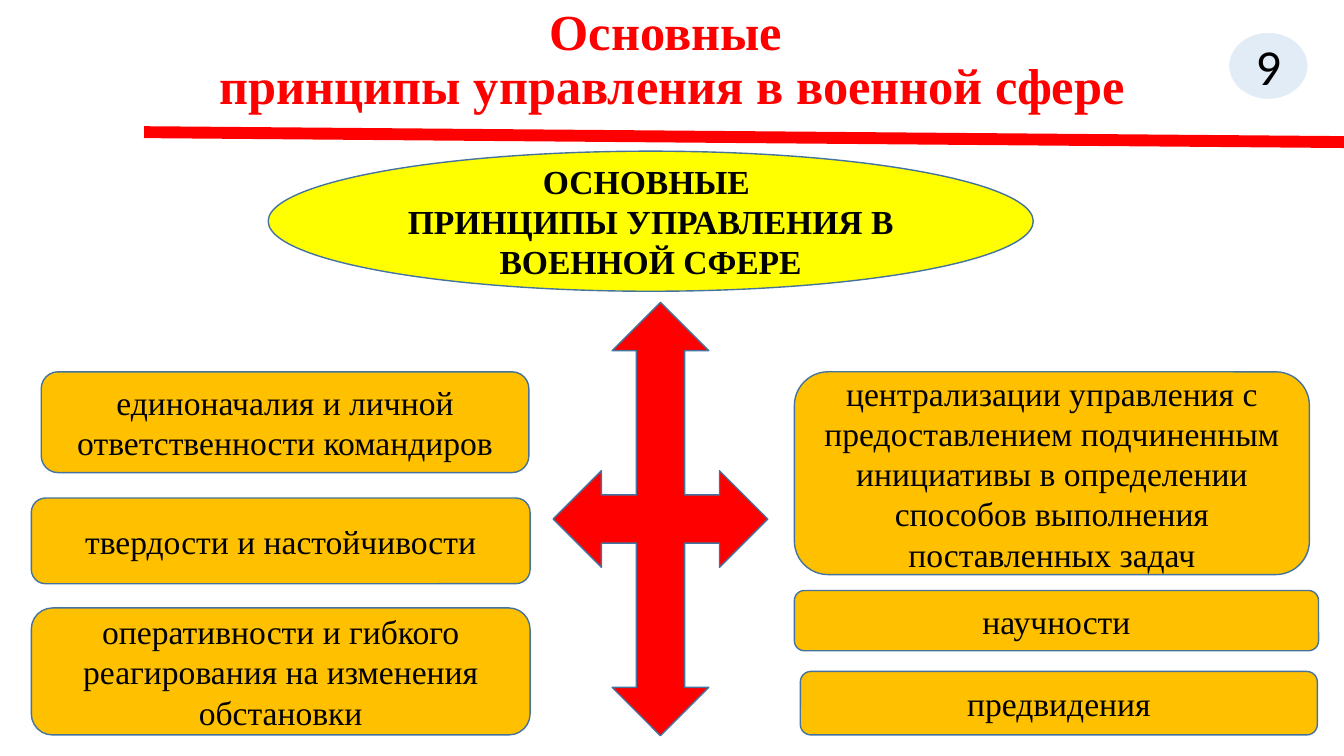
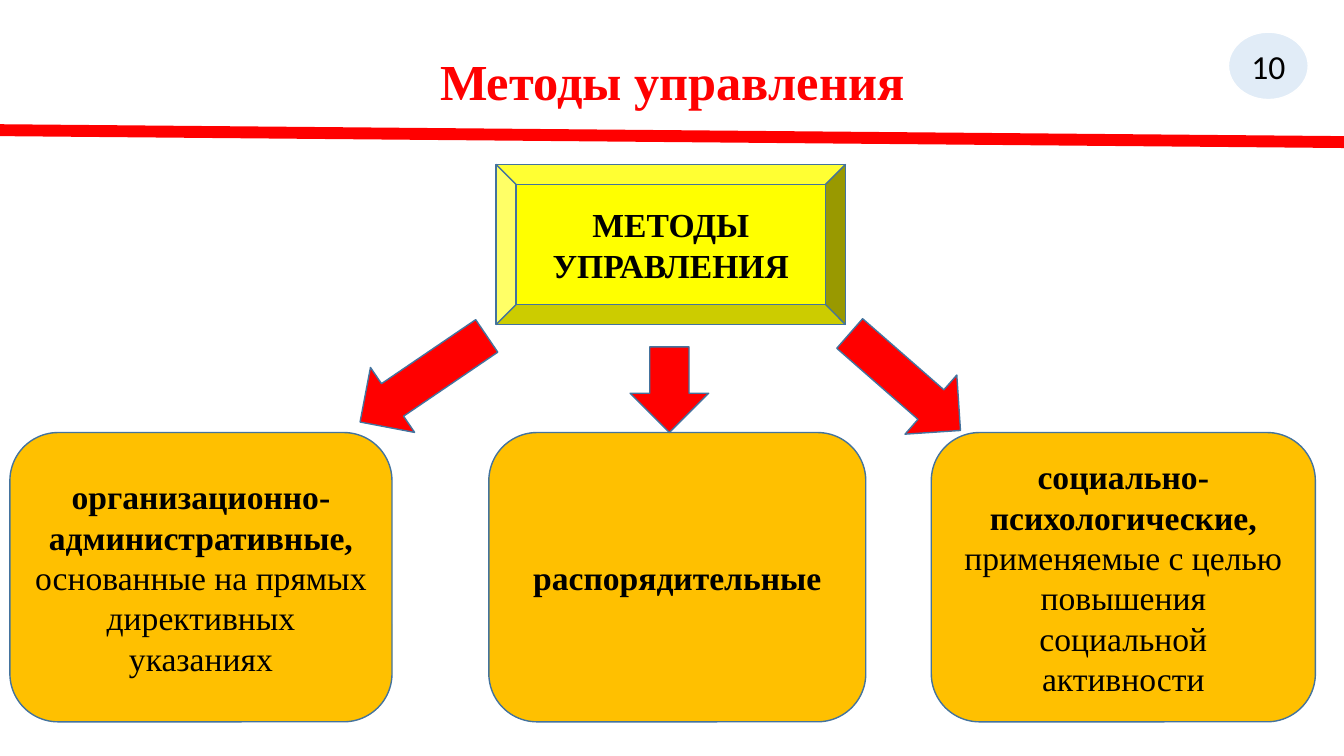
from dataclasses import dataclass

from lxml.etree import SubElement
from pptx import Presentation
from pptx.dml.color import RGBColor
from pptx.enum.shapes import MSO_CONNECTOR, MSO_SHAPE
from pptx.enum.text import MSO_ANCHOR, MSO_AUTO_SIZE, PP_ALIGN
from pptx.oxml.ns import qn
from pptx.text.text import Font
from pptx.util import Cm, Pt

PRINCIPLES = {
    "title": "Основные \vпринципы управления в военной сфере",
    "title_box": (2.34, 0, 29.21, 3.07),
    "rule": (3.63, 3.33, 33.87, 3.58),
    "number": ("9", 36),
    "heading": "ОСНОВНЫЕ \nПРИНЦИПЫ УПРАВЛЕНИЯ В ВОЕННОЙ СФЕРЕ",
    "heading_shape": MSO_SHAPE.OVAL,
    "heading_box": (6.76, 3.81, 19.28, 3.53),
    "cards": [
        ((1.04, 9.37, 12.29, 2.54), "", "единоначалия и личной ответственности командиров"),
        ((0.79, 12.55, 12.57, 2.16), "", "твердости и настойчивости"),
        ((0.79, 15.32, 12.57, 3.2), "", "оперативности и гибкого реагирования на изменения обстановки"),
        ((20.02, 9.37, 12.98, 5.11), "",
         "централизации управления с предоставлением подчиненным инициативы "
         "в определении способов выполнения поставленных задач"),
        ((20.02, 14.88, 13.21, 1.52), "", "научности"),
        ((20.17, 16.92, 13.03, 1.6), "", "предвидения"),
    ],
    "arrows": [(MSO_SHAPE.QUAD_ARROW, (13.94, 7.62, 5.41, 10.92), 0)],
}

METHODS = {
    "title": "Методы управления",
    "title_box": (2.34, 1.02, 29.21, 2.18),
    "rule": (0, 3.28, 33.87, 3.58),
    "number": ("10", 24),
    "heading": "МЕТОДЫ УПРАВЛЕНИЯ",
    "heading_shape": MSO_SHAPE.BEVEL,
    "heading_box": (12.5, 4.14, 8.81, 4.04),
    "cards": [
        ((0.25, 10.9, 9.63, 7.29), "организационно-административные,",
         " основанные на прямых директивных указаниях"),
        ((12.32, 10.9, 9.5, 7.29), "распорядительные", ""),
        ((23.47, 10.9, 9.68, 7.29), "социально-психологические,",
         " применяемые с целью повышения социальной активности"),
    ],
    "arrows": [
        (MSO_SHAPE.DOWN_ARROW, (15.88, 8.74, 1.98, 2.16), 0),
        (MSO_SHAPE.DOWN_ARROW, (9.68, 7.62, 1.98, 3.86), 55.8),
        (MSO_SHAPE.DOWN_ARROW, (21.82, 7.77, 1.98, 3.71), 311.2),
    ],
}


@dataclass(frozen=True)
class Theme:
    red: str = "FF0000"
    yellow: str = "FFFF00"
    amber: str = "FFC000"
    outline: str = "43739E"
    badge: str = "5B9BD5"
    white: str = "FFFFFF"
    ink: str = "000000"
    serif: str = "Times New Roman"
    sans: str = "Calibri"
    title_size: int = 36
    body_size: int = 24
    rule_width: float = 8.5
    outline_width: float = 1
    badge_alpha: int = 18000
    badge_box: tuple = (30.96, 0.81, 2.01, 1.7)


THEME = Theme()


def lengths(values):
    return [Cm(value) for value in values]


def style_font(font, name, size, color, bold):
    font.name, font.size, font.bold = name, Pt(size), bold
    font.color.rgb = RGBColor.from_string(color)


def add_figure(slide, kind, box, fill, outline=THEME.outline):
    figure = slide.shapes.add_shape(kind, *lengths(box))
    figure.shadow.inherit = False
    figure.fill.solid()
    figure.fill.fore_color.rgb = RGBColor.from_string(fill)
    figure.line.color.rgb = RGBColor.from_string(outline)
    figure.line.width = Pt(THEME.outline_width)
    return figure


def style_text(figure, name=THEME.serif, size=THEME.body_size, bold=False):
    figure.text_frame.vertical_anchor = MSO_ANCHOR.MIDDLE
    for paragraph in figure.text_frame.paragraphs:
        paragraph.alignment = PP_ALIGN.CENTER
        for run in paragraph.runs:
            style_font(run.font, name, size, THEME.ink, bold)


def add_title(slide, text, box):
    title = slide.shapes.title
    title.left, title.top, title.width, title.height = lengths(box)
    frame = title.text_frame
    frame.text = text
    frame.auto_size = MSO_AUTO_SIZE.NONE
    frame.vertical_anchor = MSO_ANCHOR.MIDDLE
    frame.paragraphs[0].alignment = PP_ALIGN.CENTER
    frame.paragraphs[0].line_spacing = 0.9


def add_rule(slide, ends):
    rule = slide.shapes.add_connector(MSO_CONNECTOR.STRAIGHT, *lengths(ends))
    rule.line.color.rgb = RGBColor.from_string(THEME.red)
    rule.line.width = Pt(THEME.rule_width)
    SubElement(rule._element.spPr, qn("a:effectLst"))


def add_badge(slide, number, size):
    badge = add_figure(slide, MSO_SHAPE.OVAL, THEME.badge_box, THEME.badge, THEME.white)
    tint = badge._element.spPr.find(qn("a:solidFill")).find(qn("a:srgbClr"))
    SubElement(tint, qn("a:alpha")).set("val", str(THEME.badge_alpha))
    badge.text_frame.text = number
    style_text(badge, THEME.sans, size)


def add_card(slide, box, term, detail):
    card = add_figure(slide, MSO_SHAPE.ROUNDED_RECTANGLE, box, THEME.amber)
    card.text_frame.text = term or detail
    style_text(card, bold=bool(term))
    if term and detail:
        explanation = card.text_frame.paragraphs[0].add_run()
        explanation.text = detail
        style_font(explanation.font, THEME.serif, THEME.body_size, THEME.ink, False)


def build_slide(deck, content):
    slide = deck.slides.add_slide(deck.slide_layouts[5])
    add_title(slide, content["title"], content["title_box"])
    add_rule(slide, content["rule"])
    add_badge(slide, *content["number"])
    heading = add_figure(slide, content["heading_shape"], content["heading_box"], THEME.yellow)
    heading.text_frame.text = content["heading"]
    style_text(heading, bold=True)
    for card in content["cards"]:
        add_card(slide, *card)
    for kind, box, angle in content["arrows"]:
        add_figure(slide, kind, box, THEME.red).rotation = angle


deck = Presentation()
deck.slide_width, deck.slide_height = Cm(33.87), Cm(19.05)
title_style = next(deck.slide_master.element.iter(qn("p:titleStyle")))
title_defaults = next(title_style.iter(qn("a:defRPr")))
style_font(Font(title_defaults), THEME.serif, THEME.title_size, THEME.red, True)
for content in (PRINCIPLES, METHODS):
    build_slide(deck, content)
deck.save("out.pptx")
